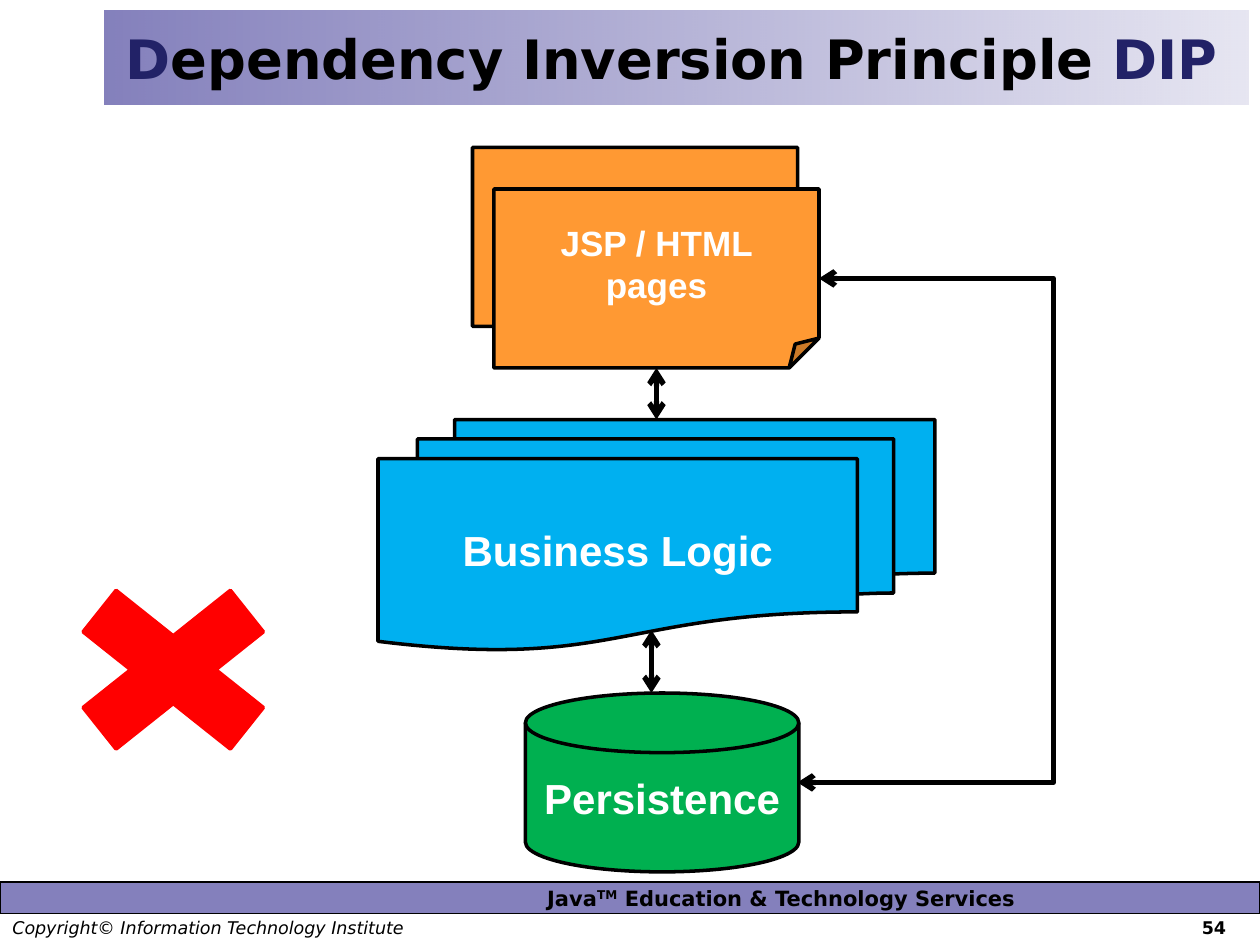
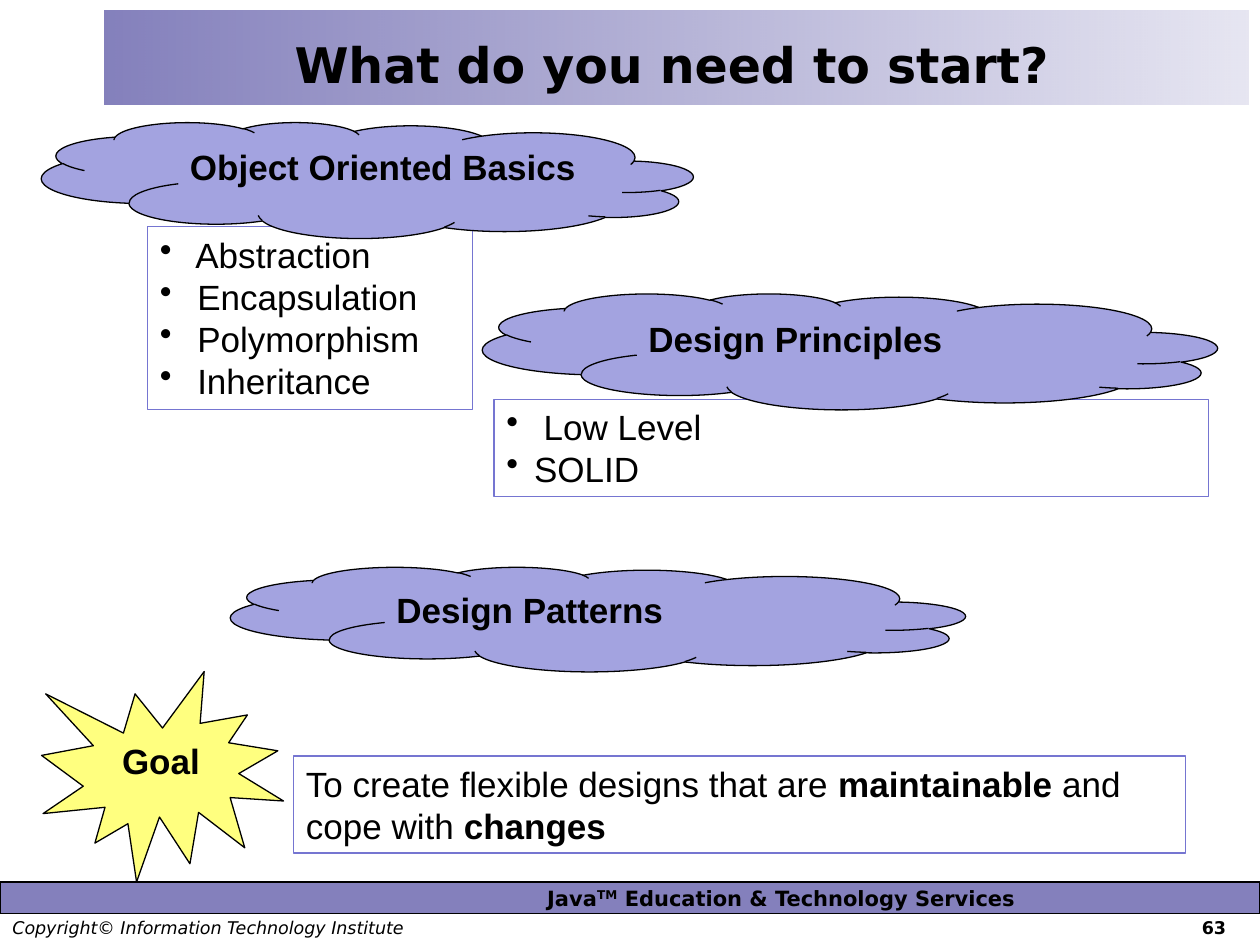
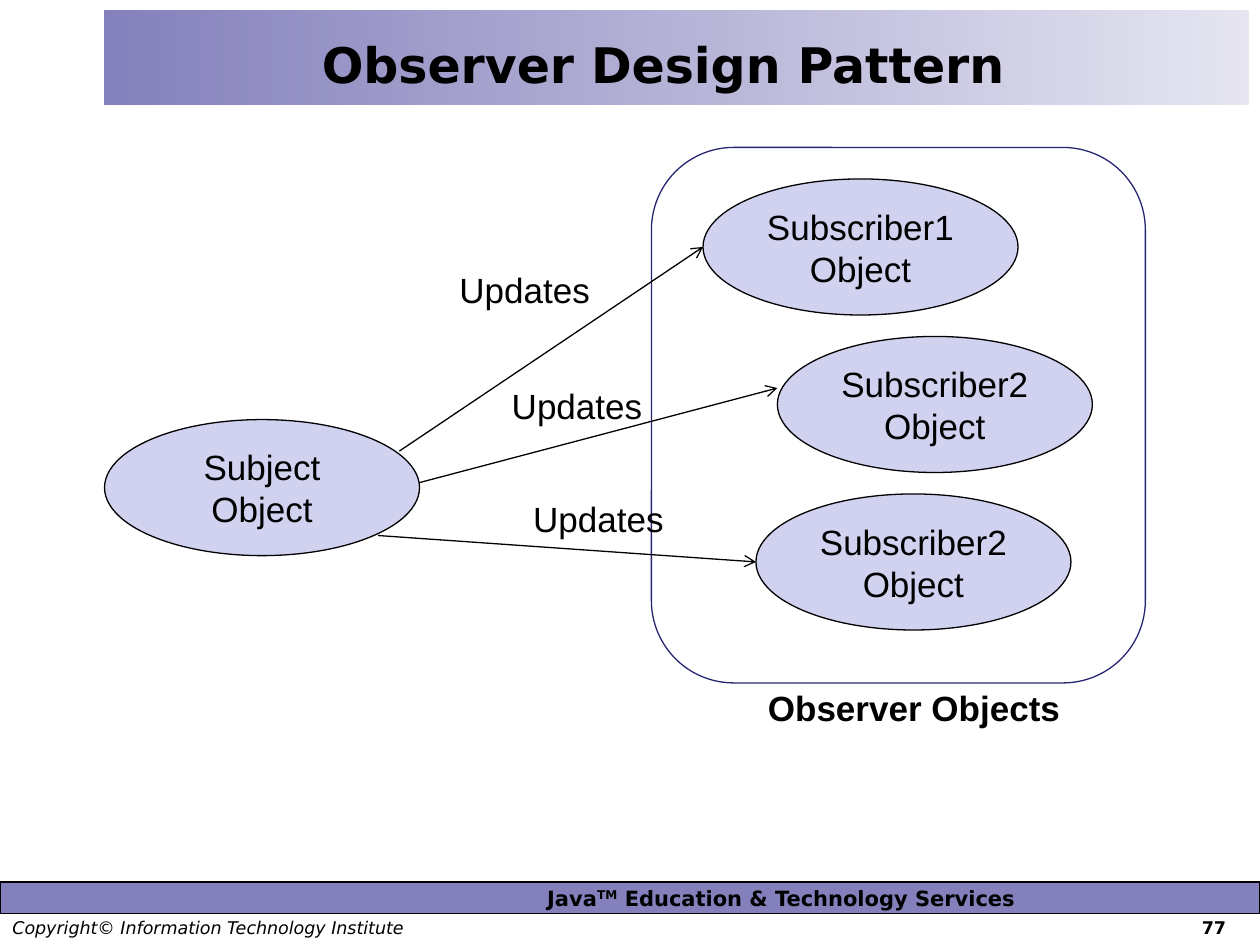
from pptx import Presentation
from pptx.dml.color import RGBColor
from pptx.enum import shapes, text
from pptx.oxml.ns import qn
from pptx.oxml.xmlchemy import OxmlElement
from pptx.util import Inches, Pt

BLACK = RGBColor(0x00, 0x00, 0x00)
WHITE = RGBColor(0xFF, 0xFF, 0xFF)
BAND = RGBColor(0x5B, 0x56, 0xA6)
NAVY = RGBColor(0x22, 0x22, 0x67)
FRAME = RGBColor(0x26, 0x26, 0x73)
ORANGE = RGBColor(0xFF, 0x99, 0x33)
BLUE = RGBColor(0x00, 0xB0, 0xF0)
GREEN = RGBColor(0x00, 0xB0, 0x50)
RED = RGBColor(0xFF, 0x00, 0x00)
YELLOW = RGBColor(0xFF, 0xFF, 0x00)
CLOUD = RGBColor(0xA3, 0xA3, 0xE0)
BOX_LINE = RGBColor(0x75, 0x75, 0xD1)
PALE = RGBColor(0xD1, 0xD1, 0xF0)
HEAD_FONT = "DejaVu Sans"
BODY_FONT = "Arial"
MSO = shapes.MSO_SHAPE
LEFT, CENTER = text.PP_ALIGN.LEFT, text.PP_ALIGN.CENTER
TOP, MIDDLE = text.MSO_ANCHOR.TOP, text.MSO_ANCHOR.MIDDLE


def add(s, kind, box, paras=(), fill=None, line=None, width=0.75, alphas=(),
        align=CENTER, anchor=TOP, bullet=False, color=BLACK, **fmt):
    """Add a shape, or a text box when kind is None.

    A paragraph is a string or a list of (text, run format) pairs.
    Two alphas make a left-to-right gradient; one makes a transparent fill.
    """
    box = [Inches(v) for v in box]
    if kind is None:
        sp = s.shapes.add_textbox(*box)
    else:
        sp = s.shapes.add_shape(kind, *box)
        sp.shadow.inherit = False
        if len(alphas) == 2:
            sp.fill.gradient()
            sp.fill.gradient_angle = 0
            for stop in sp.fill.gradient_stops:
                stop.color.rgb = fill
        elif fill is not None:
            sp.fill.solid()
            sp.fill.fore_color.rgb = fill
        else:
            sp.fill.background()
        for clr, percent in zip(sp._element.spPr.iter(qn("a:srgbClr")), alphas):
            alpha = OxmlElement("a:alpha")
            alpha.set("val", str(percent * 1000))
            clr.append(alpha)
        if line is None:
            sp.line.fill.background()
        else:
            sp.line.color.rgb = line
            sp.line.width = Pt(width)
    tf = sp.text_frame
    tf.word_wrap = True
    tf.vertical_anchor = anchor
    base = {"name": BODY_FONT, "size": Pt(20), "bold": False, "color": color, **fmt}
    for i, para in enumerate(paras):
        p = tf.paragraphs[0] if i == 0 else tf.add_paragraph()
        p.alignment = align
        if bullet:
            pPr = p._p.get_or_add_pPr()
            pPr.set("marL", str(Inches(0.22)))
            pPr.set("indent", str(-Inches(0.22)))
            bu = OxmlElement("a:buChar")
            bu.set("char", "•")
            pPr.append(bu)
        for words, extra in [(para, {})] if isinstance(para, str) else para:
            r = p.add_run()
            r.text = words
            for name, value in {**base, **extra}.items():
                if name == "color":
                    r.font.color.rgb = value
                elif name == "baseline":
                    r._r.get_or_add_rPr().set("baseline", str(value * 1000))
                else:
                    setattr(r.font, name, value)
    return sp


def arrow(s, start, end, width=0.75, ends=("tailEnd",),
          kind=shapes.MSO_CONNECTOR.STRAIGHT):
    c = s.shapes.add_connector(kind, *[Inches(v) for v in (*start, *end)])
    c.line.color.rgb = BLACK
    c.line.width = Pt(width)
    for tag in ends:
        e = OxmlElement("a:" + tag)
        e.set("type", "arrow")
        c.line._get_or_add_ln().append(e)
    c._element.spPr.append(OxmlElement("a:effectLst"))
    return c


prs = Presentation()
prs.slide_width, prs.slide_height = Inches(10), Inches(7.5)

# Shared bands, footer and title
pages = [
    ("54", [("D", {"color": NAVY}), ("ependency Inversion Principle ", {}),
            ("DIP", {"color": NAVY})], 31, (0.83, 0, 9, 0.92)),
    ("63", "What do you need to start?", 28, (0.83, 0.17, 9, 0.67)),
    ("77", "Observer Design Pattern ", 28, (0.83, 0.17, 9, 0.67)),
]
for number, title, size, box in pages:
    s = prs.slides.add_slide(prs.slide_layouts[6])
    band = add(s, MSO.RECTANGLE, (0, 7, 10, 0.25),
               [[("Java", {}), ("TM", {"baseline": 30}),
                 (" Education & Technology Services", {})]],
               fill=BAND, line=BLACK, alphas=(75,), anchor=MIDDLE,
               name=HEAD_FONT, size=Pt(12), bold=True)
    band.text_frame.margin_left = Inches(2.5)
    footer = add(s, None, (0, 7.23, 10, 0.27),
                 [[("Copyright© Information Technology Institute\t", {"italic": True}),
                   (number, {"bold": True})]],
                 align=LEFT, name=HEAD_FONT, size=Pt(10))
    tabs, tab = OxmlElement("a:tabLst"), OxmlElement("a:tab")
    tab.set("pos", str(Inches(9.44)))
    tab.set("algn", "l")
    tabs.append(tab)
    footer.text_frame.paragraphs[0]._p.get_or_add_pPr().append(tabs)
    add(s, MSO.RECTANGLE, (0.83, 0.08, 9.08, 0.75), fill=BAND, alphas=(75, 15))
    add(s, None, box, [title], anchor=MIDDLE, name=HEAD_FONT, size=Pt(size), bold=True)

layers, start, observer = prs.slides

# Layers that depend on each other
for kind, box, label, fill, size in [
    (MSO.FOLDED_CORNER, (3.75, 1.17, 2.58, 1.42), None, ORANGE, 20),
    (MSO.FOLDED_CORNER, (3.92, 1.5, 2.58, 1.42), "JSP / HTML pages", ORANGE, 20),
    (MSO.FLOWCHART_MULTIDOCUMENT, (3, 3.33, 4.42, 1.83), "Business Logic", BLUE, 24),
    (MSO.FLOWCHART_MAGNETIC_DISK, (4.17, 5.5, 2.17, 1.42), "Persistence", GREEN, 24),
]:
    sp = add(layers, kind, box, [label] if label else [], fill=fill, line=BLACK,
             width=2, anchor=MIDDLE, color=WHITE, size=Pt(size), bold=True)
    if label == "JSP / HTML pages":
        pages_box = sp
both = ("headEnd", "tailEnd")
link = arrow(layers, (5.21, 2.92), (5.21, 3.33), 3, both)
link.begin_connect(pages_box, 2)
arrow(layers, (5.17, 5), (5.17, 5.5), 3, both)
bypass = arrow(layers, (6.5, 2.21), (6.33, 6.21), 3, both, shapes.MSO_CONNECTOR.ELBOW)
bend = OxmlElement("a:gd")
bend.set("name", "adj1")
bend.set("fmla", f"val {round((8.36 - 6.5) / (6.33 - 6.5) * 100000)}")
geom = bypass._element.spPr.find(qn("a:prstGeom"))
geom.find(qn("a:avLst")).append(bend)
add(layers, MSO.MATH_MULTIPLY, (0.25, 4.42, 2.25, 1.79), fill=RED, line=RED, width=2)

# What is needed to start
for box, items, fill in [
    ((1.17, 1.8, 2.58, 1.45),
     [" Abstraction", " Encapsulation", " Polymorphism", " Inheritance"], WHITE),
    ((3.92, 3.17, 5.67, 0.77), [" Low Level", "SOLID"], None),
]:
    add(start, MSO.RECTANGLE, box, items, fill=fill, line=BOX_LINE, align=LEFT,
        anchor=TOP, bullet=True)
for box, label in [
    ((0.33, 0.97, 5.17, 0.92), "Object Oriented Basics"),
    ((3.83, 2.33, 5.83, 0.92), "Design Principles"),
    ((1.83, 4.5, 5.83, 0.83), "Design Patterns"),
]:
    cloud = add(start, MSO.CLOUD, box, [label], fill=CLOUD, line=BLACK,
                align=LEFT, bold=True)
    cloud._element.spPr.find(qn("a:xfrm")).set("flipH", "1")
add(start, MSO.EXPLOSION1, (0.33, 5.33, 1.92, 1.67), ["Goal"], fill=YELLOW,
    line=BLACK, alphas=(50,), bold=True)
add(start, MSO.RECTANGLE, (2.33, 6, 7.08, 0.77),
    [[("To create flexible designs that are ", {}), ("maintainable", {"bold": True}),
      (" and cope with ", {}), ("changes", {"bold": True})]],
    fill=WHITE, line=BOX_LINE, align=LEFT)

# Subject and its observers
add(observer, MSO.ROUNDED_RECTANGLE, (5.17, 1.17, 3.92, 4.25), line=FRAME)
for x, y, label in [
    (0.83, 3.33, "Subject Object"),
    (5.58, 1.42, "Subscriber1 Object"),
    (6.17, 2.67, "Subscriber2 Object"),
    (6, 3.92, "Subscriber2 Object"),
]:
    add(observer, MSO.OVAL, (x, y, 2.5, 1.08), [label], fill=PALE, line=BLACK)
for begin, end, label_box in [
    ((3.17, 3.58), (5.58, 1.96), (3.5, 2.08, 1.33, 0.44)),
    ((3.33, 3.83), (6.17, 3.08), (3.83, 3, 1.5, 0.44)),
    ((3, 4.25), (6, 4.46), (4, 3.9, 1.5, 0.44)),
]:
    arrow(observer, begin, end)
    add(observer, None, label_box, ["Updates"])
add(observer, None, (5.67, 5.4, 3.17, 0.44), ["Observer Objects"], bold=True)

prs.save("out.pptx")
